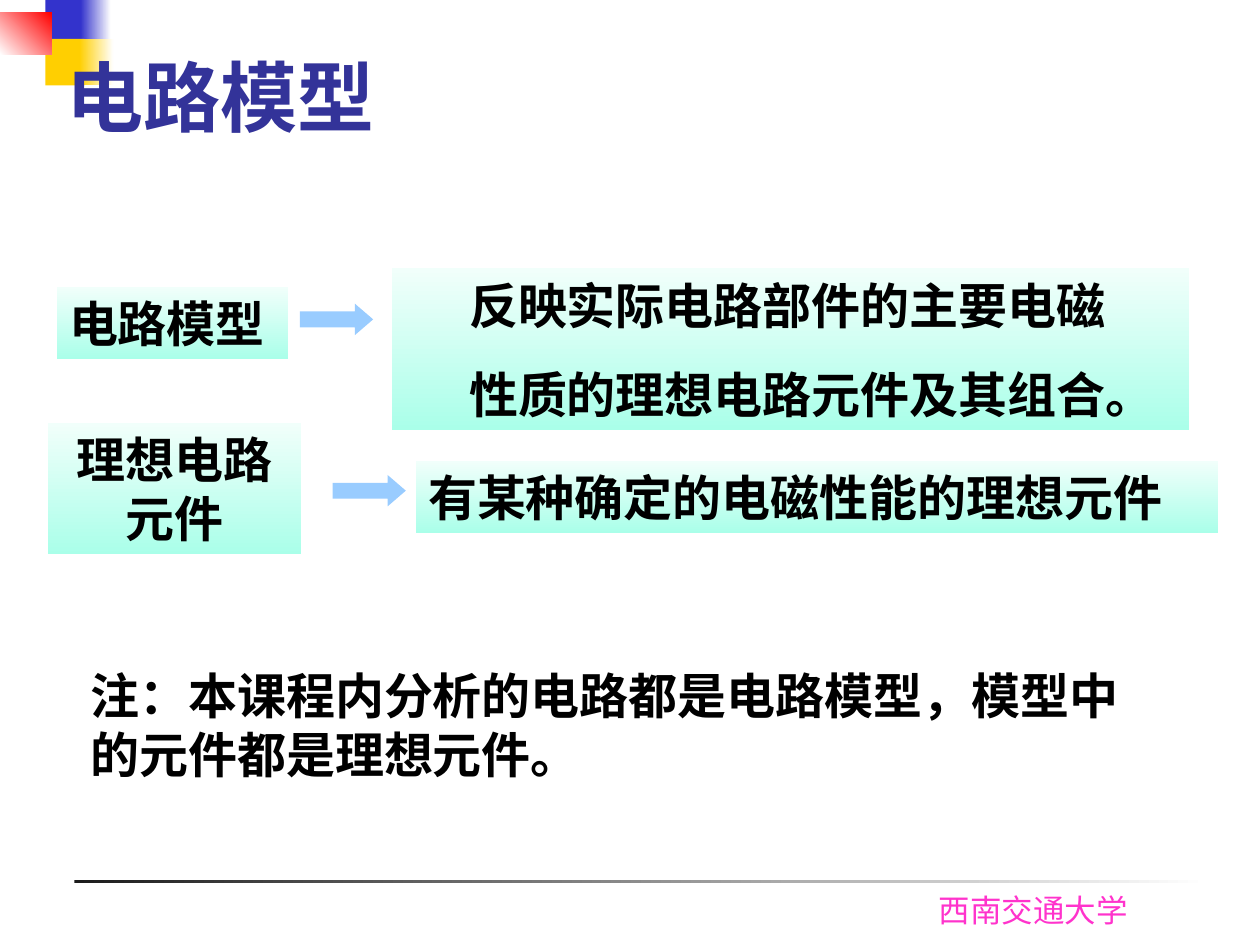
from lxml import etree
from pptx import Presentation
from pptx.dml.color import RGBColor
from pptx.enum.shapes import MSO_SHAPE as SHAPE
from pptx.enum.text import MSO_ANCHOR as ANCHOR, PP_ALIGN as ALIGN
from pptx.util import Pt

BLUE = RGBColor(0x33, 0x33, 0xCC)
YELLOW = RGBColor(0xFF, 0xCF, 0x01)
RED = RGBColor(0xFF, 0x00, 0x00)
WHITE = RGBColor(0xFF, 0xFF, 0xFF)
BLACK = RGBColor(0x00, 0x00, 0x00)
CHARCOAL = RGBColor(0x1C, 0x1C, 0x1C)
NAVY = RGBColor(0x33, 0x33, 0x99)
PINK = RGBColor(0xFF, 0x33, 0xCC)
SKY = RGBColor(0x99, 0xCC, 0xFF)
MINT_LIGHT = RGBColor(0xF1, 0xFF, 0xFB)
MINT = RGBColor(0xAA, 0xFF, 0xE9)

# Content: boxes are left, top, width, height in points
# Decoration: box, colours (one is solid, two are a gradient), gradient angle
DECOR = [
    ((42.5, 502.6, 648, 2.2), (CHARCOAL, WHITE), 0),
    ((25.9, 0, 23, 26.6), (BLUE,), 0),
    ((46.1, 0, 17.3, 26.6), (BLUE, WHITE), 0),
    ((25.9, 22.3, 22.3, 26.6), (YELLOW,), 0),
    ((45.4, 22.3, 19.4, 26.6), (YELLOW, WHITE), 0),
    ((0, 7.2, 29.5, 23.8), (WHITE, RED), 45),
]
# Plain text: box, wording, size, font, colour, bold
TEXTS = [
    ((529.2, 505.4, 130.3, 28.8), "西南交通大学", 18, "Lato", PINK, False),
    ((31, 24.5, 648, 90), "电路模型", 44, "Lato", NAVY, True),
    ((44.6, 376.6, 620.6, 74.9),
     "注：本课程内分析的电路都是电路模型，模型中的元件都是理想元件。",
     28, "Times New Roman", BLACK, True),
]
# Panels: box, lines, alignment, left inset
PANELS = [
    ((32.4, 164.2, 132.5, 41), ["电路模型"], ALIGN.JUSTIFY, 7.2),
    ((223.9, 153.4, 455.8, 92.2),
     ["反映实际电路部件的主要电磁", "性质的理想电路元件及其组合。"],
     ALIGN.JUSTIFY, 44.2),
    ((27.4, 241.9, 144.7, 74.9), ["理想电路元件"], ALIGN.CENTER, 7.2),
    ((237.6, 263.5, 458.6, 41), ["有某种确定的电磁性能的理想元件"],
     ALIGN.JUSTIFY, 7.2),
]
ARROWS = [(171.4, 173.5), (190.1, 271.4)]
ARROW_SIZE = (41.8, 18)


def add_filled(shapes, kind, box, colours, angle=0):
    sp = shapes.add_shape(kind, *map(Pt, box))
    sp.shadow.inherit = False
    sp.line.fill.background()
    if len(colours) == 1:
        sp.fill.solid()
        sp.fill.fore_color.rgb = colours[0]
    else:
        sp.fill.gradient()
        sp.fill.gradient_angle = angle
        for stop, colour in zip(sp.fill.gradient_stops, colours):
            stop.color.rgb = colour
    return sp


def write(sp, lines, size, font, colour, bold, align=ALIGN.LEFT, inset=7.2):
    tf = sp.text_frame
    tf.word_wrap = True
    tf.margin_left = Pt(inset)
    for i, line in enumerate(lines):
        p = tf.paragraphs[0] if i == 0 else tf.add_paragraph()
        p.alignment = align
        if i:
            p.space_before = Pt(17.5)
        r = p.add_run()
        r.text = line
        r.font.size = Pt(size)
        r.font.name = font
        r.font.bold = bold
        r.font.color.rgb = colour


prs = Presentation()
prs.slide_width, prs.slide_height = Pt(720), Pt(540)
shapes = prs.slides.add_slide(prs.slide_layouts[6]).shapes

# Corner squares and footer rule
for box, colours, angle in DECOR:
    add_filled(shapes, SHAPE.RECTANGLE, box, colours, angle)

# Footer, title and note
for box, text, *style in TEXTS:
    tb = shapes.add_textbox(*map(Pt, box))
    write(tb, [text], *style)

# Terms and their definitions
for box, lines, align, inset in PANELS:
    sp = add_filled(shapes, SHAPE.RECTANGLE, box, (MINT_LIGHT, MINT), 270)
    sp.text_frame.vertical_anchor = ANCHOR.MIDDLE if len(lines) > 1 else ANCHOR.TOP
    write(sp, lines, 28, "Times New Roman", BLACK, True, align, inset)

# Arrows from term to definition
for corner in ARROWS:
    arrow = add_filled(shapes, SHAPE.RIGHT_ARROW, corner + ARROW_SIZE, (SKY,))
    arrow.adjustments[0] = 0.5
    arrow.adjustments[1] = 0.58

prs.save("out.pptx")
